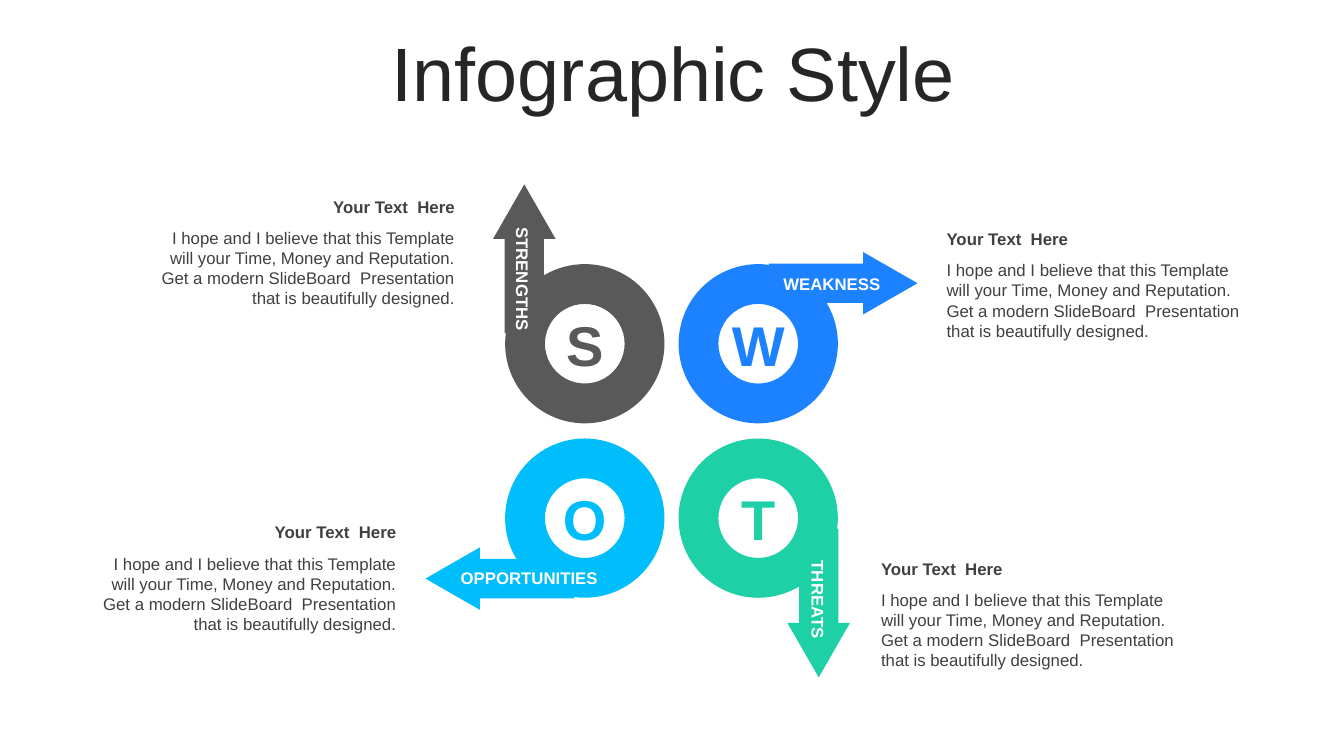
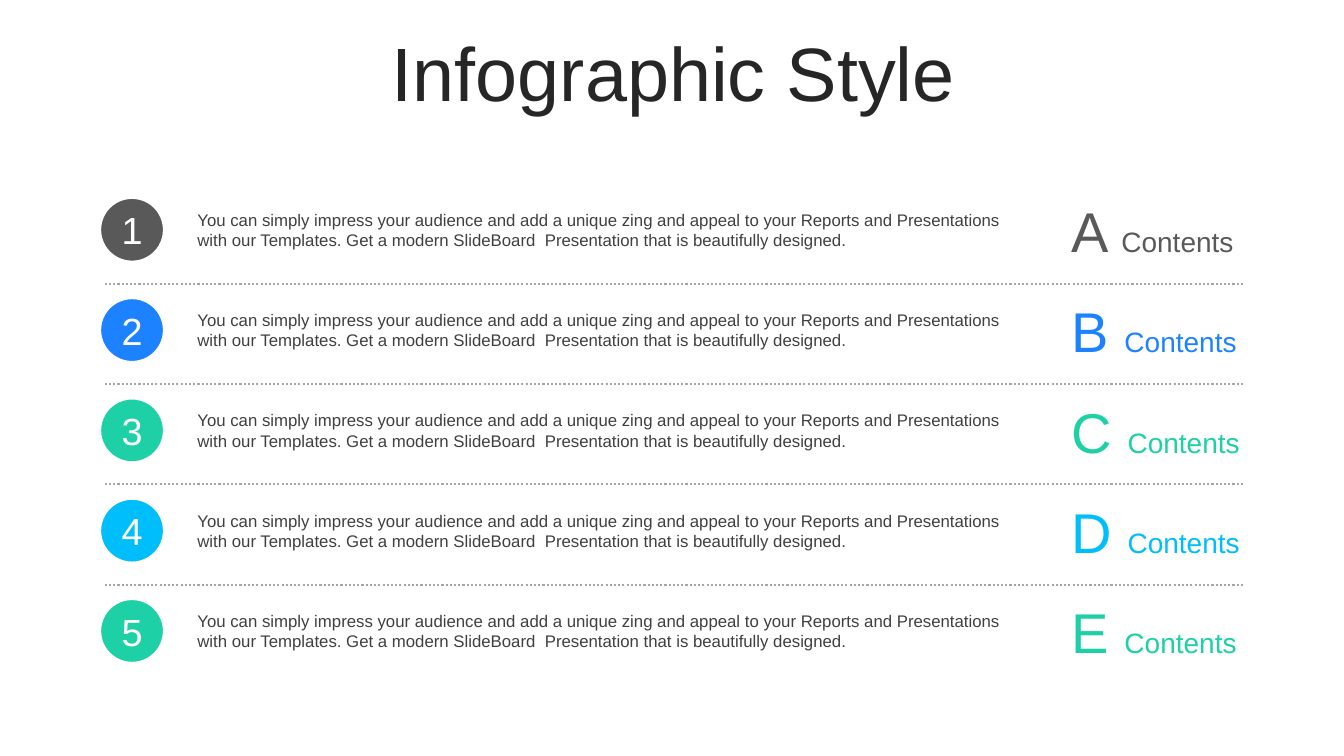
import pptx
import pptx.util
import pptx.dml.color
import pptx.enum.dml
import pptx.enum.shapes
import pptx.enum.text
import pptx.oxml

Inches = pptx.util.Inches
Pt = pptx.util.Pt
RGBColor = pptx.dml.color.RGBColor
Shape = pptx.enum.shapes.MSO_SHAPE
Align = pptx.enum.text.PP_ALIGN
Anchor = pptx.enum.text.MSO_ANCHOR

# Shared style
FONT = "Arial"
GREY = RGBColor(0x59, 0x59, 0x59)
BLUE = RGBColor(0x1C, 0x82, 0xFF)
GREEN = RGBColor(0x1E, 0xD0, 0xA6)
CYAN = RGBColor(0x00, 0xBD, 0xFB)
DARK = RGBColor(0x26, 0x26, 0x26)
INK = RGBColor(0x40, 0x40, 0x40)
RULE = RGBColor(0xA6, 0xA6, 0xA6)
WHITE = RGBColor(0xFF, 0xFF, 0xFF)

HEAD = "Your Text  Here"
NOTE = ("I hope and I believe that this Template will your Time, Money and "
        "Reputation. Get a modern SlideBoard  Presentation that is "
        "beautifully designed.")
BODY = ("You can simply impress your audience and add a unique zing and appeal "
        "to your Reports and Presentations with our Templates. Get a modern "
        "SlideBoard  Presentation that is beautifully designed.")

# Ring and arrow sizes, with the part centres measured from the ring centre
RING = 1.58
ARM = (0.39, 0.95, -0.6, -0.58)
TIP = (0.62, 0.54, -0.6, -1.31)

# List rows
TOP = 1.97
PITCH = 3.98 / 4


def style(para, size, color, bold=False, align=Align.LEFT):
    para.alignment = align
    font = para.font
    font.name = FONT
    font.bold = bold
    font.color.rgb = color
    if size:
        font.size = Pt(size)


def frame(slide, x, y, w, h, anchor=Anchor.TOP):
    box = slide.shapes.add_textbox(Inches(x), Inches(y), Inches(w), Inches(h))
    box.text_frame.word_wrap = True
    box.text_frame.vertical_anchor = anchor
    return box


def write(slide, place, text, size, color, bold=False, align=Align.LEFT,
          anchor=Anchor.TOP, turn=0):
    box = frame(slide, *place, anchor)
    box.rotation = turn
    para = box.text_frame.paragraphs[0]
    para.text = text
    style(para, size, color, bold, align)
    return para


def solid(slide, kind, x, y, w, h, color, turn=0):
    """Add a filled shape without outline, centred on x, y."""
    shape = slide.shapes.add_shape(kind, Inches(x - w / 2), Inches(y - h / 2),
                                   Inches(w), Inches(h))
    shape.shadow.inherit = False
    shape.fill.solid()
    shape.fill.fore_color.rgb = color
    shape.line.fill.background()
    shape.rotation = turn
    return shape


def page(deck):
    slide = deck.slides.add_slide(deck.slide_layouts[6])
    para = write(slide, (0.35, 0.37, 12.66, 0.79), "Infographic Style", 54,
                 DARK, align=Align.CENTER, anchor=Anchor.MIDDLE)
    para.line_spacing = 0.9
    return slide


def ring(slide, letter, x, y, color, turns):
    """Draw a lettered ring whose arrow is turned clockwise by quarters."""
    turn = 90 * turns
    solid(slide, Shape.DONUT, x, y, RING, RING, color, turn)
    for kind, (w, h, dx, dy) in ((Shape.RECTANGLE, ARM),
                                 (Shape.ISOSCELES_TRIANGLE, TIP)):
        for _ in range(turns):
            dx, dy = -dy, dx
        solid(slide, kind, x + dx, y + dy, w, h, color, turn)
    write(slide, (x - 0.4, y - 0.38, 0.8, 0.77), letter, 40, color, True,
          Align.CENTER, Anchor.MIDDLE)


def note(slide, x, y, w, align):
    write(slide, (x, y, w, 0.3), HEAD, 12, INK, True, align)
    write(slide, (x, y + 0.31, w, 0.91), NOTE, 12, INK, align=align)


def rule(slide, y):
    line = slide.shapes.add_connector(
        pptx.enum.shapes.MSO_CONNECTOR.STRAIGHT,
        Inches(1.04), Inches(y), Inches(12.34), Inches(y))
    line.line.color.rgb = RULE
    line.line.width = Pt(1.5)
    line.line.dash_style = pptx.enum.dml.MSO_LINE.ROUND_DOT
    line._element.spPr.append(pptx.oxml.parse_xml(
        '<a:effectLst xmlns:a='
        '"http://schemas.openxmlformats.org/drawingml/2006/main"/>'))


def row(slide, y, num, letter, color):
    # Numbered disc
    disc = solid(slide, Shape.OVAL, 1.31, y + 0.31, 0.63, 0.63, color)
    disc.line.color.rgb = WHITE
    disc.line.width = Pt(1.25)
    disc.text_frame.vertical_anchor = Anchor.MIDDLE
    para = disc.text_frame.paragraphs[0]
    para.text = str(num)
    style(para, 27, WHITE, align=Align.CENTER)

    # Description and label
    write(slide, (1.86, y + 0.06, 8.2, 0.5), BODY, 12, INK)
    para = frame(slide, 10.53, y - 0.07, 1.9, 0.77).text_frame.paragraphs[0]
    style(para, None, color)
    for text, size in ((letter + " ", 40), ("Contents", 20)):
        run = para.add_run()
        run.text = text
        run.font.size = Pt(size)


def swot(deck):
    slide = page(deck)
    left, right, high, low = 5.8, 7.52, 3.41, 5.14
    ring(slide, "S", left, high, GREY, 0)
    ring(slide, "W", right, high, BLUE, 1)
    ring(slide, "T", right, low, GREEN, 2)
    ring(slide, "O", left, low, CYAN, 3)

    # Arrow labels
    for text, place, align, turn in (
            ("STRENGTHS", (4.45, 2.74, 1.47, 0.3), Align.LEFT, 90),
            ("WEAKNESS", (7.45, 2.67, 1.38, 0.3), Align.RIGHT, 0),
            ("OPPORTUNITIES", (4.47, 5.58, 1.85, 0.3), Align.LEFT, 0),
            ("THREATS", (7.55, 5.72, 1.13, 0.3), Align.RIGHT, 90)):
        write(slide, place, text, 12, WHITE, True, align, turn=turn)

    # Notes
    note(slide, 1.45, 1.9, 3.16, Align.RIGHT)
    note(slide, 9.29, 2.22, 3.26, Align.LEFT)
    note(slide, 0.77, 5.13, 3.26, Align.RIGHT)
    note(slide, 8.64, 5.49, 3.26, Align.LEFT)


def listing(deck):
    slide = page(deck)
    colors = (GREY, BLUE, GREEN, CYAN, GREEN)
    for i, (letter, color) in enumerate(zip("ABCDE", colors)):
        y = TOP + i * PITCH
        if i:
            rule(slide, y - 0.15)
        row(slide, y, i + 1, letter, color)


def main():
    deck = pptx.Presentation()
    deck.slide_width = Inches(13.33)
    deck.slide_height = Inches(7.5)
    swot(deck)
    listing(deck)
    deck.save("out.pptx")


if __name__ == "__main__":
    main()
